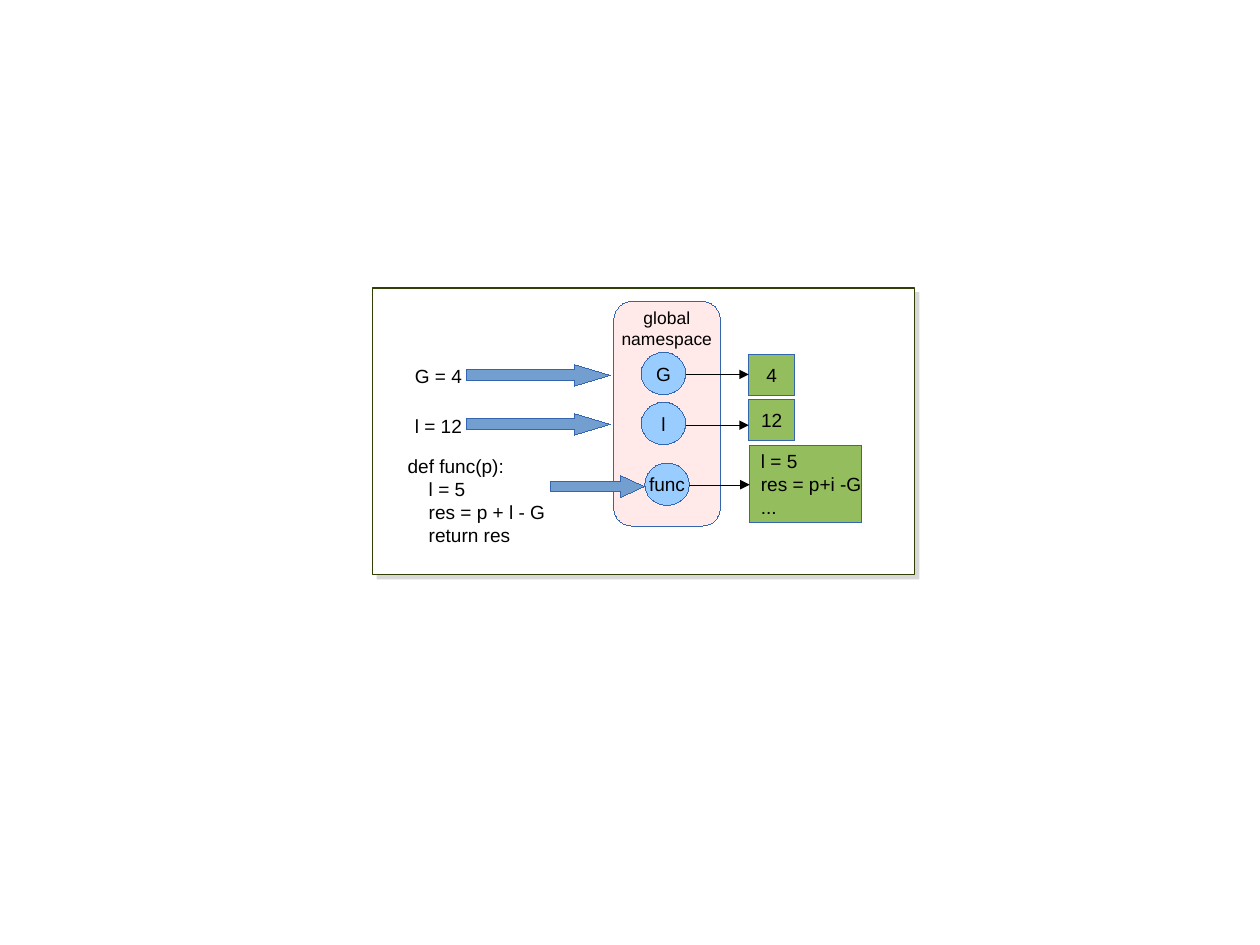
from dataclasses import dataclass

import pptx
import pptx.dml.color
import pptx.enum.shapes
import pptx.enum.text
import pptx.oxml
import pptx.oxml.ns
import pptx.util

Cm = pptx.util.Cm
Pt = pptx.util.Pt
SHAPE = pptx.enum.shapes.MSO_SHAPE
ALIGN = pptx.enum.text.PP_ALIGN
ANCHOR = pptx.enum.text.MSO_ANCHOR
BLACK, WHITE, BLUE_LINE = "000000", "FFFFFF", "3465AF"
HAIRLINE = 0.01
ARROW_HEIGHT = 0.48
NAME_WIDTH, NAME_HEIGHT = 0.99, 0.94


@dataclass
class Box:
    """A rectangle on the slide, in centimetres."""
    left: float
    top: float
    width: float
    height: float

    def lengths(self) -> tuple:
        return Cm(self.left), Cm(self.top), Cm(self.width), Cm(self.height)


@dataclass
class Binding:
    """A statement that binds a name in the namespace to an object."""
    code: str
    code_box: Box
    arrow_box: Box
    name: str
    name_left: float
    name_top: float
    value: str
    value_box: Box
    pointer_y: float
    value_align: ALIGN = ALIGN.CENTER


BINDINGS = [
    Binding("G = 4", Box(8.97, 7.98, 1.55, 0.74), Box(10.36, 8.1, 3.2, ARROW_HEIGHT),
            "G", 14.25, 7.83, "4", Box(16.64, 7.87, 1.02, 0.91), 8.32),
    Binding("l = 12", Box(8.97, 9.09, 1.55, 0.74), Box(10.36, 9.19, 3.2, ARROW_HEIGHT),
            "l", 14.25, 8.94, "12", Box(16.64, 8.87, 1.02, 0.91), 9.45),
    Binding("def func(p):\n    l = 5\n    res = p + l - G\n    return res",
            Box(8.81, 9.98, 3.56, 2.16), Box(12.24, 10.57, 2.08, ARROW_HEIGHT),
            "func", 14.33, 10.29, "l = 5\nres = p+i -G\n...",
            Box(16.66, 9.91, 2.49, 1.7), 10.77, ALIGN.LEFT),
]


def rgb(color: str) -> pptx.dml.color.RGBColor:
    return pptx.dml.color.RGBColor.from_string(color)


def drawing_element(tag: str, **attributes: str):
    """Make an element of the drawing namespace."""
    element = pptx.oxml.parse_xml(f"<a:{tag} {pptx.oxml.ns.nsdecls('a')}/>")
    for key, value in attributes.items():
        element.set(key, value)
    return element


def add_alpha(parent, percent: int) -> None:
    color = parent.find(".//" + pptx.oxml.ns.qn("a:srgbClr"))
    color.append(drawing_element("alpha", val=str(percent * 1000)))


def write(shape, text: str, size: float, align: ALIGN, anchor: ANCHOR) -> None:
    frame = shape.text_frame
    frame.text = text
    frame.word_wrap = False
    frame.vertical_anchor = anchor
    for paragraph in frame.paragraphs:
        paragraph.alignment = align
        for run in paragraph.runs:
            run.font.name = "Arial"
            run.font.size = Pt(size)
            run.font.color.rgb = rgb(BLACK)


def add_label(slide, box: Box, text: str, size: float, align: ALIGN) -> None:
    label = slide.shapes.add_textbox(*box.lengths())
    write(label, text, size, align, ANCHOR.TOP)
    label.text_frame.auto_size = pptx.enum.text.MSO_AUTO_SIZE.SHAPE_TO_FIT_TEXT


def add_figure(slide, kind: SHAPE, box: Box, fill: str,
               line: str = BLUE_LINE, line_width: float = HAIRLINE):
    figure = slide.shapes.add_shape(kind, *box.lengths())
    figure.fill.solid()
    figure.fill.fore_color.rgb = rgb(fill)
    figure.line.color.rgb = rgb(line)
    figure.line.width = Pt(line_width)
    figure.shadow.inherit = False
    return figure


def add_frame(slide) -> None:
    """Draw the outer frame with its soft grey shadow."""
    frame = add_figure(slide, SHAPE.RECTANGLE, Box(8.28, 6.4, 12.04, 6.36),
                       WHITE, "314004", 0.71)
    shadow = drawing_element("outerShdw", dist=str(Pt(4.1)), dir=str(45 * 60000),
                             algn="tl", rotWithShape="0")
    shadow.append(drawing_element("srgbClr", val="808080"))
    add_alpha(shadow, 30)
    frame._element.spPr.find(pptx.oxml.ns.qn("a:effectLst")).append(shadow)


def add_namespace(slide) -> None:
    panel = add_figure(slide, SHAPE.ROUNDED_RECTANGLE, Box(13.64, 6.7, 2.37, 4.99), "FFC8C8")
    panel.adjustments[0] = 0.17
    add_alpha(panel._element.spPr.find(pptx.oxml.ns.qn("a:solidFill")), 40)
    add_label(slide, Box(13.32, 6.71, 3, 1.22), "global\nnamespace", 11, ALIGN.CENTER)


def add_pointer(slide, start: float, end: float, y: float) -> None:
    pointer = slide.shapes.add_connector(
        pptx.enum.shapes.MSO_CONNECTOR.STRAIGHT, Cm(start), Cm(y), Cm(end), Cm(y))
    pointer.line.color.rgb = rgb(BLACK)
    pointer.line.width = Pt(HAIRLINE)
    pointer.line._get_or_add_ln().append(drawing_element("tailEnd", type="triangle"))
    pointer._element.spPr.append(drawing_element("effectLst"))


def add_binding(slide, binding: Binding) -> None:
    add_label(slide, binding.code_box, binding.code, 12, ALIGN.LEFT)
    name_box = Box(binding.name_left, binding.name_top, NAME_WIDTH, NAME_HEIGHT)
    name = add_figure(slide, SHAPE.OVAL, name_box, "99CCFF")
    write(name, binding.name, 12, ALIGN.CENTER, ANCHOR.MIDDLE)
    value = add_figure(slide, SHAPE.RECTANGLE, binding.value_box, "94BD5E")
    write(value, binding.value, 12, binding.value_align, ANCHOR.MIDDLE)
    add_pointer(slide, binding.name_left + NAME_WIDTH, binding.value_box.left,
                binding.pointer_y)
    arrow = add_figure(slide, SHAPE.RIGHT_ARROW, binding.arrow_box, "729FCF")
    arrow.adjustments[0] = 0.5
    arrow.adjustments[1] = binding.arrow_box.width / 4 / ARROW_HEIGHT


def main() -> None:
    presentation = pptx.Presentation()
    presentation.slide_width = Cm(28)
    presentation.slide_height = Cm(21)
    slide = presentation.slides.add_slide(presentation.slide_layouts[6])
    add_frame(slide)
    add_namespace(slide)
    for binding in BINDINGS:
        add_binding(slide, binding)
    presentation.save("out.pptx")


if __name__ == "__main__":
    main()
